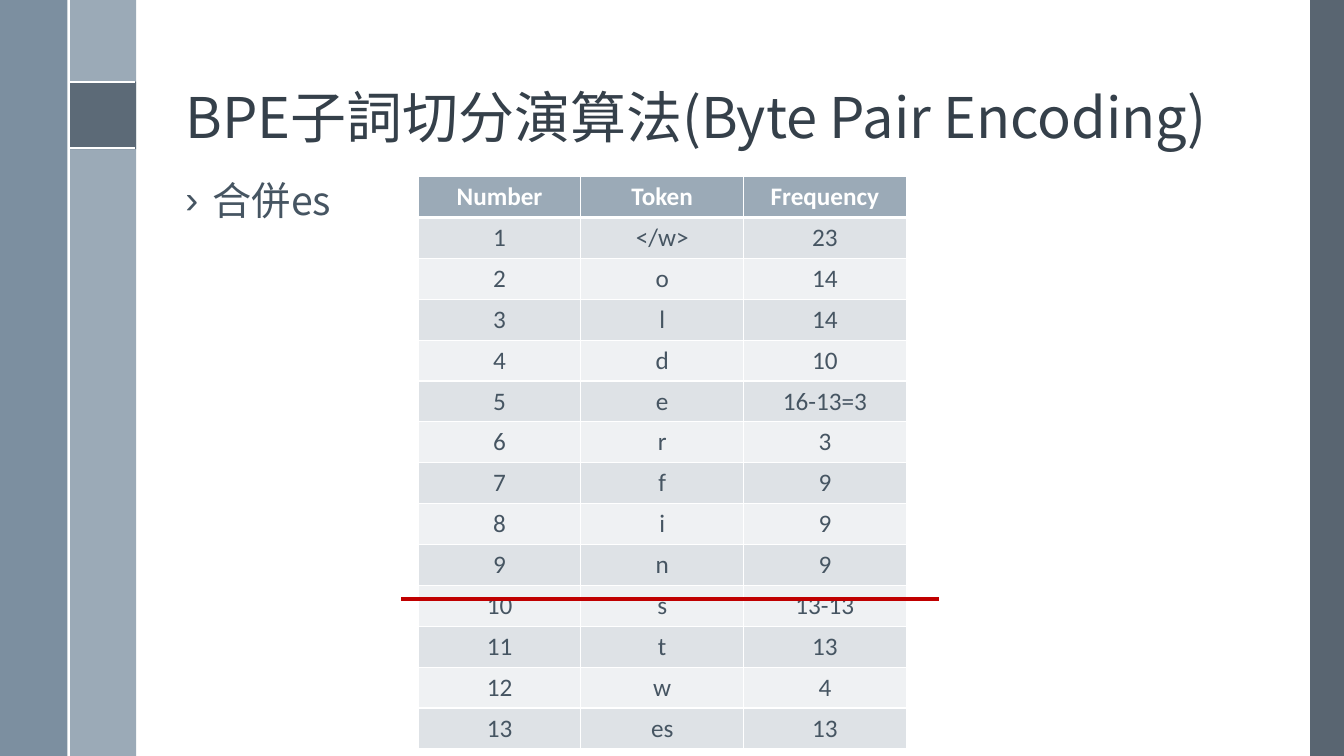
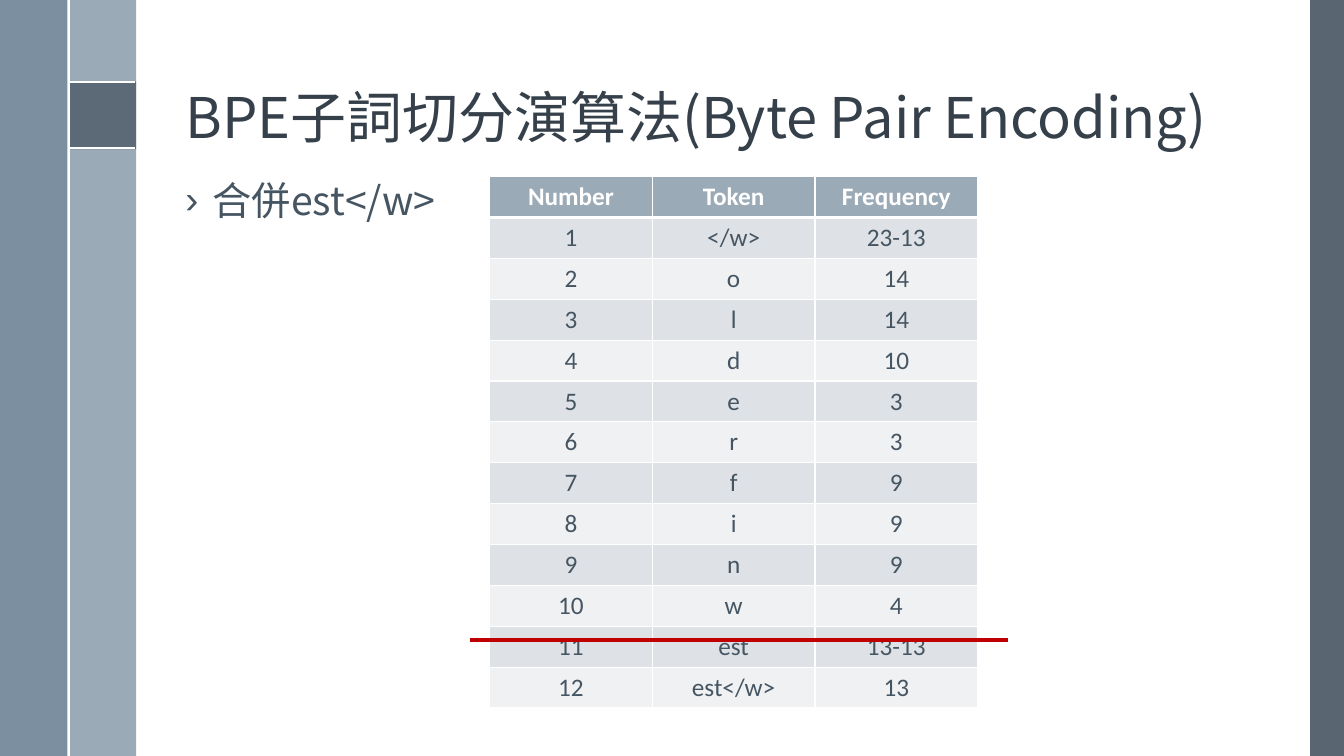
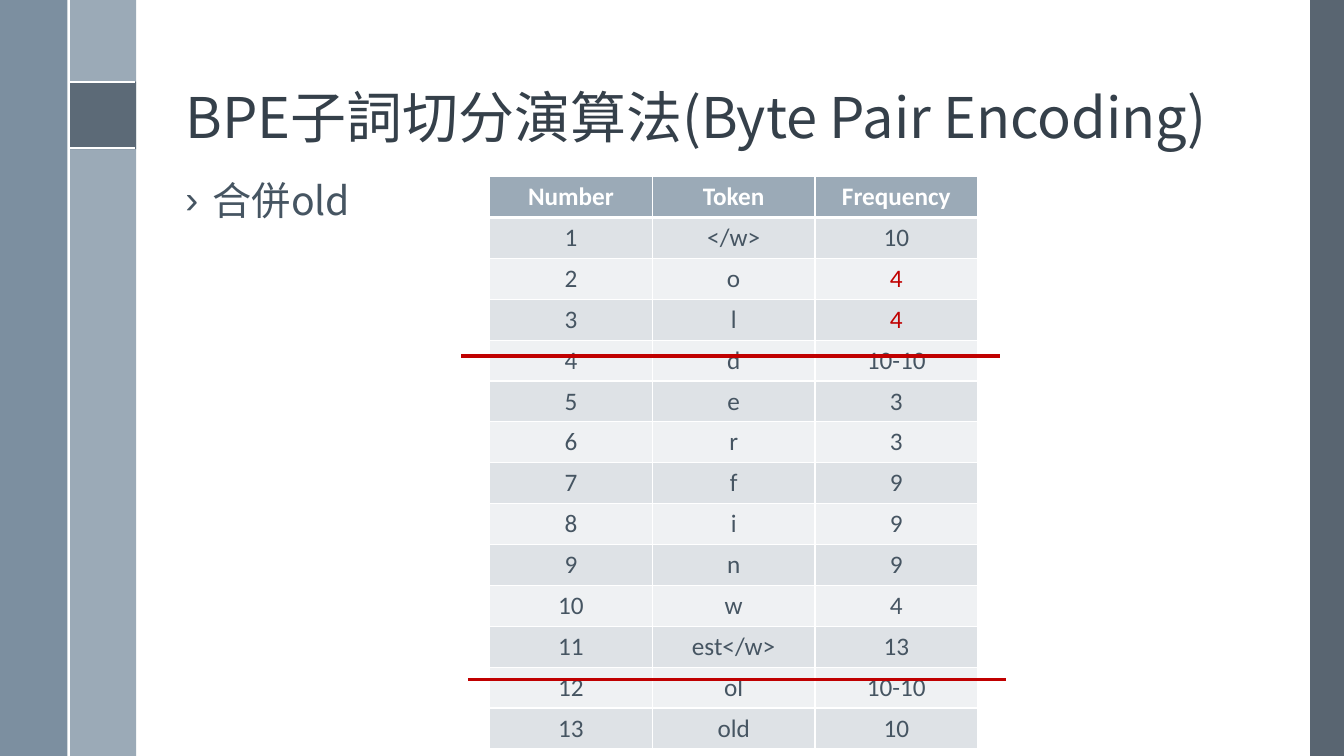
from lxml import etree
from pptx import Presentation
from pptx.dml.color import RGBColor
from pptx.enum.shapes import MSO_CONNECTOR, MSO_SHAPE
from pptx.enum.text import MSO_ANCHOR, MSO_AUTO_SIZE, PP_ALIGN
from pptx.oxml.ns import qn
from pptx.util import Cm, Pt

WHITE = RGBColor(0xFF, 0xFF, 0xFF)
SLATE = RGBColor(0x47, 0x55, 0x62)
STEEL = RGBColor(0x6A, 0x80, 0x93)
MIST = RGBColor(0x9B, 0xAA, 0xB7)
TITLE_INK = RGBColor(0x35, 0x40, 0x4A)
INK = RGBColor(0x46, 0x55, 0x62)
BAND_DARK = RGBColor(0xDE, 0xE2, 0xE6)
BAND_LIGHT = RGBColor(0xEF, 0xF1, 0xF3)
RED = RGBColor(0xC0, 0x00, 0x00)

CJK_FONT = "Noto Sans CJK TC"
TITLE = "BPE子詞切分演算法(Byte Pair Encoding)"
HEADER = ("Number", "Token", "Frequency")
SLIDE_W, SLIDE_H = 33.87, 19.05
TABLE_TOP, COL_W, ROW_H = 4.45, 4.1, 1.03
STRIKE_W = 13.56

# Per slide: bullet, table left, (token, frequency) rows, numbers of the rows
# with a red frequency, and the left and height of each strike line
STEPS = [
    ("合併es", 10.54,
     [("</w>", "23"), ("o", "14"), ("l", "14"), ("d", "10"), ("e", "16-13=3"),
      ("r", "3"), ("f", "9"), ("i", "9"), ("n", "9"), ("s", "13-13"),
      ("t", "13"), ("w", "4"), ("es", "13")],
     (), [(10.11, 15.09)]),
    ("合併est</w>", 12.34,
     [("</w>", "23-13"), ("o", "14"), ("l", "14"), ("d", "10"), ("e", "3"),
      ("r", "3"), ("f", "9"), ("i", "9"), ("n", "9"), ("w", "4"),
      ("est", "13-13"), ("est</w>", "13")],
     (), [(11.84, 16.13)]),
    ("合併old", 12.34,
     [("</w>", "10"), ("o", "4"), ("l", "4"), ("d", "10-10"), ("e", "3"),
      ("r", "3"), ("f", "9"), ("i", "9"), ("n", "9"), ("w", "4"),
      ("est</w>", "13"), ("ol", "10-10"), ("old", "10")],
     (2, 3), [(11.79, 17.12), (11.63, 8.97)]),
]


def add_line(s, x1, y1, x2, y2, color, width):
    line = s.shapes.add_connector(MSO_CONNECTOR.STRAIGHT, Cm(x1), Cm(y1), Cm(x2), Cm(y2))
    line.line.color.rgb = color
    line.line.width = Pt(width)
    etree.SubElement(line.element.spPr, qn("a:effectLst"))
    return line


def write_cjk(sp, text, size, color):
    """Fill a placeholder with one left-aligned paragraph and return it."""
    tf = sp.text_frame
    tf.auto_size = MSO_AUTO_SIZE.NONE
    p = tf.paragraphs[0]
    p.alignment = PP_ALIGN.LEFT
    p.line_spacing = 0.9
    p.space_before = Pt(0)
    r = p.add_run()
    r.text = text
    r.font.size = Pt(size)
    r.font.color.rgb = color
    r.font.name = CJK_FONT
    etree.SubElement(r.font._element, qn("a:ea"), typeface=CJK_FONT)
    return p


prs = Presentation()
prs.slide_width, prs.slide_height = Cm(SLIDE_W), Cm(SLIDE_H)
layout = prs.slide_layouts[1]
for ph, top, height in zip(layout.placeholders, (0.48, 4.45), (3.45, 12.7)):
    ph.left, ph.top, ph.width, ph.height = Cm(4.42), Cm(top), Cm(27.18), Cm(height)

slides = [prs.slides.add_slide(layout) for step in STEPS]

# Shared bands: drawn with the slide tools, then moved to the layout
s = slides[0]
bands = []
for x, y, w, h, color, opacity in [
    (33.02, 0, 0.85, SLIDE_H, SLATE, 90),
    (1.73, 0, 1.7, SLIDE_H, MIST, 100),
    (0, 0, 1.7, SLIDE_H, STEEL, 88),
    (1.73, 2.06, 1.7, 1.7, SLATE, 75),
]:
    sp = s.shapes.add_shape(MSO_SHAPE.RECTANGLE, Cm(x), Cm(y), Cm(w), Cm(h))
    sp.shadow.inherit = False
    sp.fill.solid()
    sp.fill.fore_color.rgb = color
    sp.line.fill.background()
    if opacity < 100:
        clr = sp.element.spPr.find(qn("a:solidFill"))[0]
        etree.SubElement(clr, qn("a:alpha"), val=str(opacity * 1000))
    bands.append(sp)
for x1, y1, x2, y2 in [(1.73, 2.06, 3.4, 2.06), (1.73, 3.73, 3.4, 3.73),
                       (1.73, 0, 1.73, SLIDE_H)]:
    bands.append(add_line(s, x1, y1, x2, y2, WHITE, 1.5))
for band in bands:
    layout.shapes.element.append(band.element)

for s, (bullet, left, tokens, red_rows, strikes) in zip(slides, STEPS):
    title, body = s.placeholders
    write_cjk(title, TITLE, 40, TITLE_INK)
    title.text_frame.vertical_anchor = MSO_ANCHOR.BOTTOM

    p = write_cjk(body, bullet, 28, INK)
    pPr = p._p.get_or_add_pPr()
    pPr.set("marL", str(Cm(0.69)))
    pPr.set("indent", str(-Cm(0.69)))
    etree.SubElement(pPr, qn("a:buChar"), char="›")

    rows = [HEADER] + [(str(n), *pair) for n, pair in enumerate(tokens, 1)]
    table = s.shapes.add_table(len(rows), len(HEADER), Cm(left), Cm(TABLE_TOP),
                               Cm(COL_W * len(HEADER)), Cm(ROW_H * len(rows))).table
    for col in table.columns:
        col.width = Cm(COL_W)
    for i, row in enumerate(rows):
        table.rows[i].height = Cm(ROW_H)
        for j, text in enumerate(row):
            cell = table.cell(i, j)
            tcPr = cell._tc.get_or_add_tcPr()
            for side in "LRTB":
                thick = (i, side) in ((0, "B"), (1, "T"))
                ln = etree.SubElement(tcPr, qn("a:ln" + side), w=str(Pt(3 if thick else 1)))
                fill = etree.SubElement(ln, qn("a:solidFill"))
                etree.SubElement(fill, qn("a:srgbClr"), val=str(WHITE))
            cell.fill.solid()
            cell.fill.fore_color.rgb = MIST if i == 0 else BAND_DARK if i % 2 else BAND_LIGHT
            p = cell.text_frame.paragraphs[0]
            p.alignment = PP_ALIGN.CENTER
            r = p.add_run()
            r.text = text
            r.font.name = "Calibri"
            r.font.size = Pt(18)
            r.font.bold = i == 0
            is_red = i in red_rows and j == 2
            r.font.color.rgb = WHITE if i == 0 else RED if is_red else INK

    for x, y in strikes:
        add_line(s, x, y, x + STRIKE_W, y, RED, 2.5)

prs.save("out.pptx")
